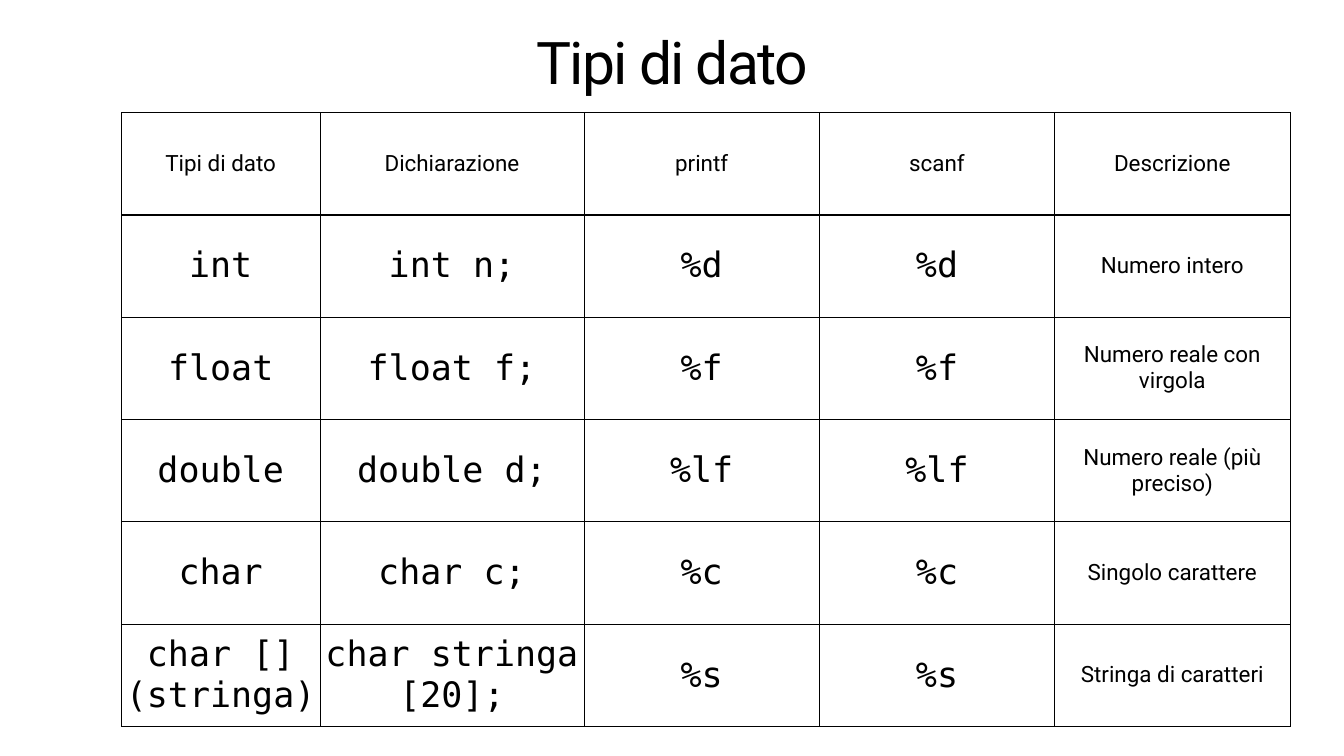
from dataclasses import dataclass

from lxml.etree import SubElement
from pptx import Presentation
from pptx.dml.color import RGBColor
from pptx.enum.text import MSO_ANCHOR as Anchor, PP_ALIGN as Align
from pptx.oxml.ns import qn
from pptx.util import Inches, Pt


@dataclass(frozen=True)
class Theme:
    ink: str = "000000"
    paper: str = "FFFFFF"
    text_font: str = "Roboto"
    code_font: str = "DejaVu Sans Mono"
    title_size: int = 84
    text_size: int = 32
    code_size: int = 50
    title_tracking: float = -2.5
    inset: float = 0.06
    rule: int = 1
    heading_rule: int = 3


THEME = Theme()

COLUMN_WIDTHS = [3.94, 5.24, 4.67, 4.67, 4.67]
ROW_HEIGHT = 2.03
HEADINGS = ["Tipi di dato", "Dichiarazione", "printf", "scanf", "Descrizione"]
# Type, declaration, format (same for printf and scanf), description
DATA_TYPES = [
    ("int", "int n;", "%d", "Numero intero"),
    ("float", "float f;", "%f", "Numero reale con virgola"),
    ("double", "double d;", "%lf", "Numero reale (più preciso)"),
    ("char", "char c;", "%c", "Singolo carattere"),
    ("char [] (stringa)", "char stringa [20];", "%s", "Stringa di caratteri"),
]


def set_insets(holder):
    """Give a cell or text frame the same margin on all sides."""
    holder.margin_left = holder.margin_right = Inches(THEME.inset)
    holder.margin_top = holder.margin_bottom = Inches(THEME.inset)


def style_paragraph(paragraph, font_name, size):
    paragraph.alignment = Align.CENTER
    paragraph.font.name = font_name
    paragraph.font.size = Pt(size)
    paragraph.font.color.rgb = RGBColor.from_string(THEME.ink)


def add_title(slide, text):
    title = slide.shapes.add_textbox(
        Inches(8.06), Inches(-1.53), Inches(10.56), Inches(3.5))
    frame = title.text_frame
    frame.word_wrap = True
    frame.vertical_anchor = Anchor.BOTTOM
    set_insets(frame)
    heading = frame.paragraphs[0]
    heading.text = text
    heading.line_spacing = 0.8
    style_paragraph(heading, THEME.text_font, THEME.title_size)
    tracking = str(int(THEME.title_tracking * 100))
    heading.runs[0].font._element.set("spc", tracking)


def set_borders(cell, top, bottom):
    """Rule all four sides; top and bottom are widths in points."""
    properties = cell._tc.get_or_add_tcPr()
    widths = {"L": THEME.rule, "R": THEME.rule, "T": top, "B": bottom}
    for side, width in widths.items():
        line = SubElement(properties, qn(f"a:ln{side}"), w=str(Pt(width)))
        fill = SubElement(line, qn("a:solidFill"))
        SubElement(fill, qn("a:srgbClr"), val=THEME.ink)


def fill_cell(cell, text, is_code):
    cell.text = text
    cell.vertical_anchor = Anchor.MIDDLE
    set_insets(cell)
    if is_code:
        font_name, size = THEME.code_font, THEME.code_size
    else:
        font_name, size = THEME.text_font, THEME.text_size
    style_paragraph(cell.text_frame.paragraphs[0], font_name, size)


def add_type_table(slide):
    rows = [HEADINGS] + [
        [name, declaration, code, code, description]
        for name, declaration, code, description in DATA_TYPES
    ]
    table = slide.shapes.add_table(
        len(rows), len(HEADINGS), Inches(2.41), Inches(2.23),
        Inches(sum(COLUMN_WIDTHS)), Inches(ROW_HEIGHT * len(rows))).table
    table.horz_banding = False
    table.first_row = False
    for column, width in zip(table.columns, COLUMN_WIDTHS):
        column.width = Inches(width)

    last_column = len(HEADINGS) - 1
    for r, texts in enumerate(rows):
        table.rows[r].height = Inches(ROW_HEIGHT)
        top = THEME.heading_rule if r == 1 else THEME.rule
        bottom = THEME.heading_rule if r == 0 else THEME.rule
        for c, text in enumerate(texts):
            cell = table.cell(r, c)
            fill_cell(cell, text, is_code=r > 0 and c < last_column)
            set_borders(cell, top, bottom)
            cell.fill.background()


def main():
    deck = Presentation()
    deck.slide_width, deck.slide_height = Inches(26.67), Inches(15)
    slide = deck.slides.add_slide(deck.slide_layouts[6])
    slide.background.fill.solid()
    slide.background.fill.fore_color.rgb = RGBColor.from_string(THEME.paper)
    add_title(slide, "Tipi di dato")
    add_type_table(slide)
    deck.save("out.pptx")


if __name__ == "__main__":
    main()
